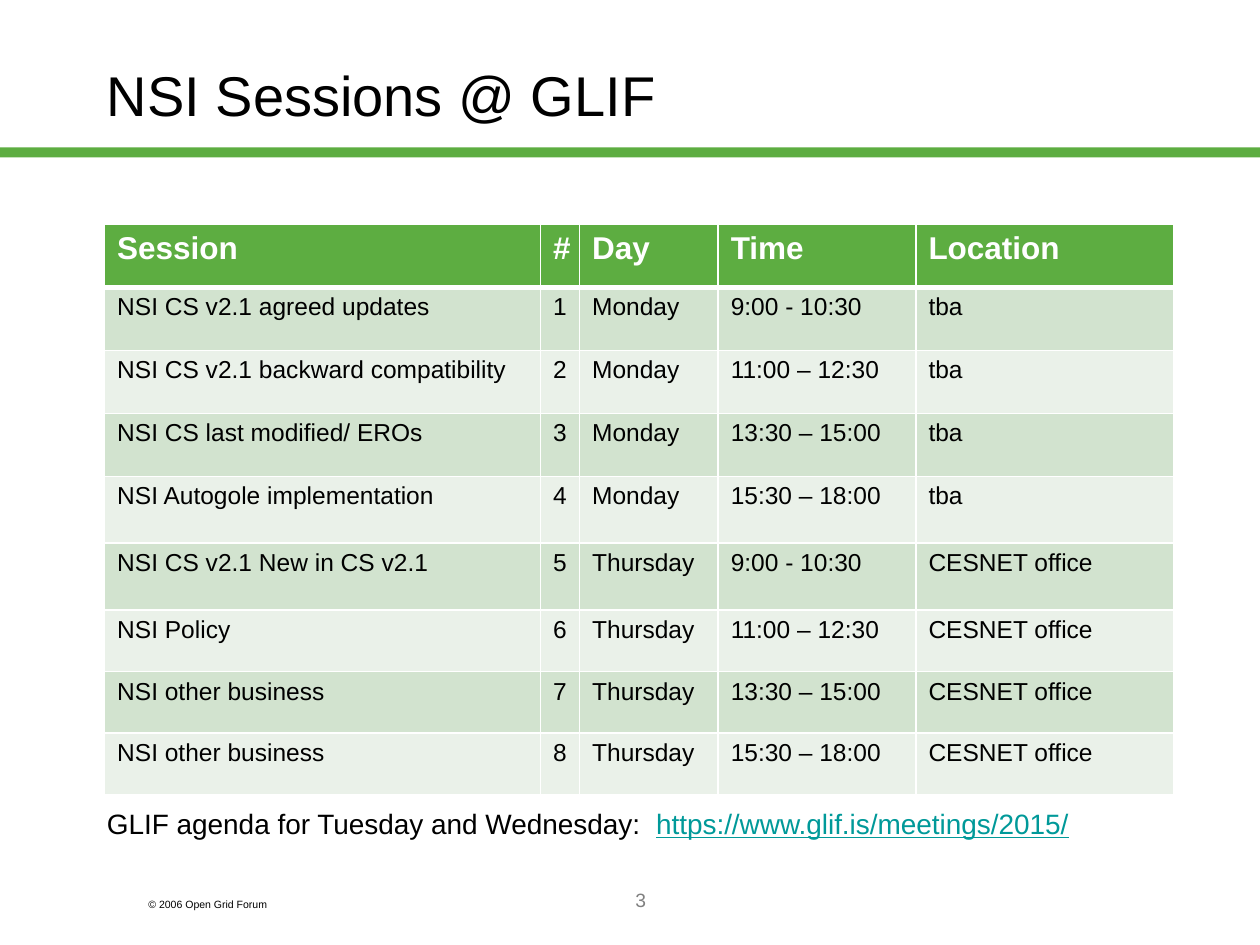
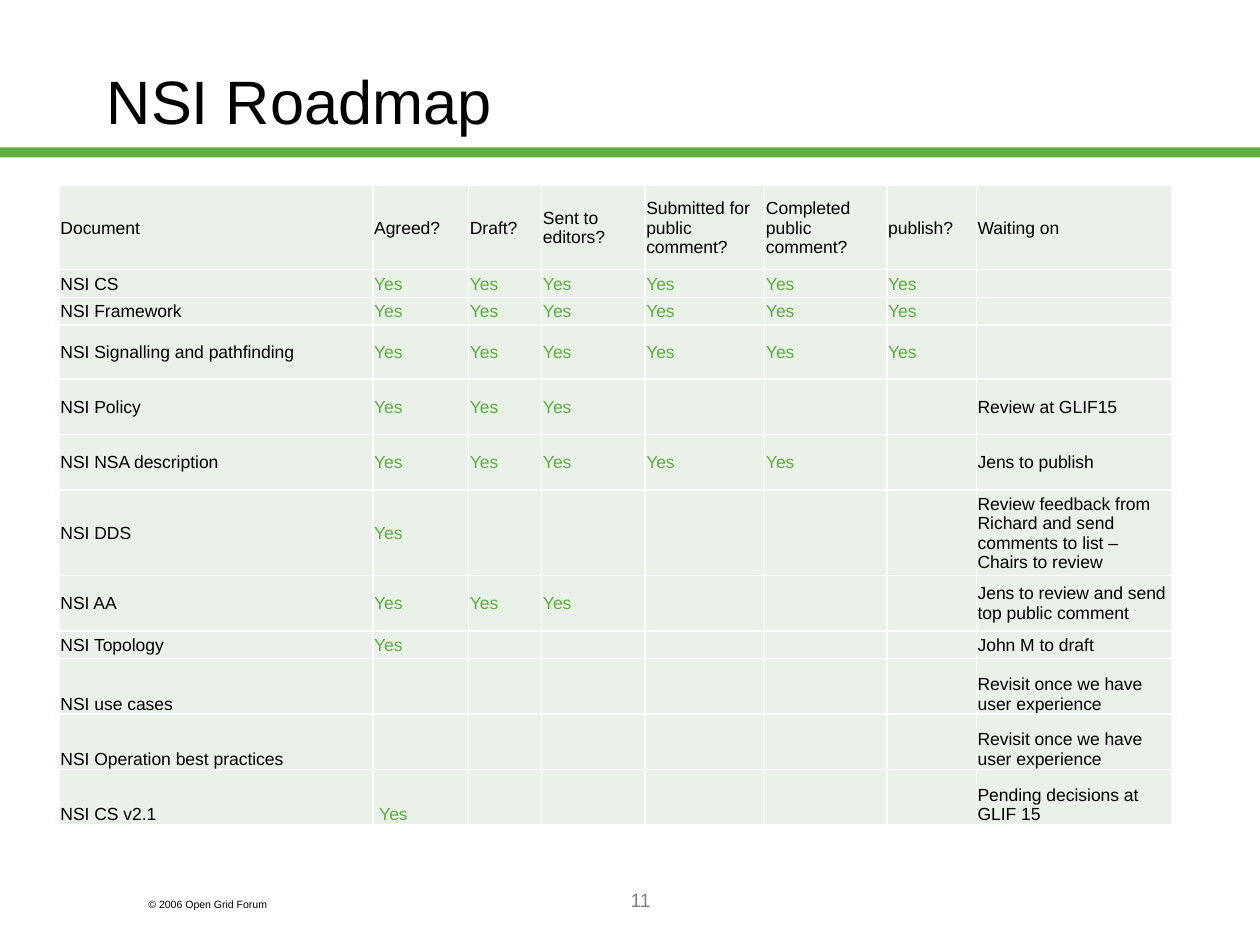
from lxml import etree
from pptx import Presentation
from pptx.dml.color import RGBColor
from pptx.enum.shapes import MSO_SHAPE
from pptx.enum.text import MSO_ANCHOR, PP_ALIGN
from pptx.oxml.ns import qn
from pptx.util import Inches, Pt

RECTANGLE = MSO_SHAPE.RECTANGLE
TOP, MIDDLE, BOTTOM = MSO_ANCHOR.TOP, MSO_ANCHOR.MIDDLE, MSO_ANCHOR.BOTTOM
LEFT, CENTER = PP_ALIGN.LEFT, PP_ALIGN.CENTER

FONT = "Arial"
COLORS = {
    "green": "5DAD41",
    "band": "D2E3CF",
    "pale": "EAF1E9",
    "link": "009999",
    "black": "000000",
    "gray": "808080",
    "white": "FFFFFF",
}

BAND_BOX = (0, 1.17, 10, 0.08)
TITLE_BOX = (0.75, 0.17, 8.5, 1.25)
COPYRIGHT_BOX = (1.08, 7.08, 1.5, 0.2)
NUMBER_BOX = (2.17, 7, 5.83, 0.5)

SESSION_COLUMNS = [3.46, 0.31, 1.1, 1.57, 2.05]
SESSION_ROWS = [0.5] * 4 + [0.53] * 2 + [0.49] * 3
SESSION_HEADER = ["Session", "#", "Day", "Time", "Location"]
SESSION_NAMES = [
    "NSI CS v2.1 agreed updates",
    "NSI CS v2.1 backward compatibility",
    "NSI CS last modified/ EROs",
    "NSI Autogole implementation",
    "NSI CS v2.1 New in CS v2.1",
    "NSI Policy",
    "NSI other business",
    "NSI other business",
]
DAYS = [("Monday", "tba"), ("Thursday", "CESNET office")]
TIMES = ["9:00 - 10:30", "11:00 – 12:30", "13:30 – 15:00", "15:30 – 18:00"]

ROADMAP_COLUMNS = [2.49, 0.76, 0.58, 0.82, 0.95, 0.97, 0.71, 1.55]
ROADMAP_ROWS = [0.67, 0.22, 0.22, 0.43, 0.44, 0.44, 0.67, 0.44, 0.22, 0.44, 0.44, 0.44]
ROADMAP_HEADER = [
    "Document", "Agreed?", "Draft?", "Sent to editors?",
    "Submitted for public comment?", "Completed public comment?",
    "publish?", "Waiting on",
]
STAGE_COUNT = 6
# document, number of stages passed, waiting on
DOCUMENTS = [
    ("NSI CS", 6, ""),
    ("NSI Framework", 6, ""),
    ("NSI Signalling and pathfinding", 6, ""),
    ("NSI Policy", 3, "Review at GLIF15"),
    ("NSI NSA description", 5, "Jens to publish"),
    ("NSI DDS", 1, "Review feedback from Richard and send comments to list – Chairs to review"),
    ("NSI AA", 3, "Jens to review and send top public comment"),
    ("NSI Topology", 1, "John M to draft"),
    ("NSI use cases", 0, "Revisit once we have user experience"),
    ("NSI Operation best practices", 0, "Revisit once we have user experience"),
    ("NSI CS v2.1", 1, "Pending decisions at GLIF 15"),
]
FIRST_BOTTOM_ROW = 9


def rgb(color):
    return RGBColor.from_string(COLORS[color])


def add_run(paragraph, text, size, color="black", **formats):
    run = paragraph.add_run()
    run.text = text
    for name, value in {"name": FONT, "size": Pt(size), **formats}.items():
        setattr(run.font, name, value)
    run.font.color.rgb = rgb(color)


def add_text(slide, box, runs, align=LEFT, anchor=TOP, spacing=1.0):
    """Add one paragraph; each run is (text, size, color, formats)."""
    frame = slide.shapes.add_textbox(*map(Inches, box)).text_frame
    frame.word_wrap = True
    frame.vertical_anchor = anchor
    paragraph = frame.paragraphs[0]
    paragraph.alignment = align
    paragraph.line_spacing = spacing
    for text, size, color, formats in runs:
        add_run(paragraph, text, size, color, **formats)


def add_frame(prs, title, title_size, number, title_spacing=1.0):
    """Add a slide with the green band, title and footer."""
    slide = prs.slides.add_slide(prs.slide_layouts[6])
    band = slide.shapes.add_shape(RECTANGLE, *map(Inches, BAND_BOX))
    band.shadow.inherit = False
    band.fill.solid()
    band.fill.fore_color.rgb = rgb("green")
    band.line.fill.background()
    add_text(slide, COPYRIGHT_BOX, [("© 2006 Open Grid Forum", 6, "black", {})])
    add_text(slide, TITLE_BOX, [(title, title_size, "black", {})],
             anchor=MIDDLE, spacing=title_spacing)
    add_text(slide, NUMBER_BOX, [(number, 11, "gray", {})], align=CENTER)
    return slide


def set_borders(cell, top=1, bottom=1):
    properties = cell._tc.get_or_add_tcPr()
    for side, width in {"L": 1, "R": 1, "T": top, "B": bottom}.items():
        line = etree.SubElement(properties, qn(f"a:ln{side}"), w=str(Pt(width)))
        fill = etree.SubElement(line, qn("a:solidFill"))
        etree.SubElement(fill, qn("a:srgbClr"), val=COLORS["white"])


def add_grid(slide, left, top, widths, heights):
    """Add an unstyled table with the given column widths and row heights."""
    table = slide.shapes.add_table(
        len(heights), len(widths), Inches(left), Inches(top),
        Inches(sum(widths)), Inches(sum(heights))).table
    table.first_row = table.horz_banding = False
    for column, width in zip(table.columns, widths):
        column.width = Inches(width)
    for row, height in zip(table.rows, heights):
        row.height = Inches(height)
    return table


def fill_cell(cell, text, size, color, fill, margins, anchor=TOP, borders=(1, 1), **formats):
    set_borders(cell, *borders)
    cell.fill.solid()
    cell.fill.fore_color.rgb = rgb(fill)
    cell.vertical_anchor = anchor
    for side, margin in zip(("left", "top", "right", "bottom"), margins):
        setattr(cell, f"margin_{side}", Inches(margin))
    paragraph = cell.text_frame.paragraphs[0]
    if text:
        add_run(paragraph, text, size, color, **formats)
    else:
        paragraph._p.get_or_add_endParaRPr().set("sz", str(size * 100))


def add_session_table(slide, left, top):
    sessions = [
        [name, str(i + 1), DAYS[i // 4][0], TIMES[i % 4], DAYS[i // 4][1]]
        for i, name in enumerate(SESSION_NAMES)
    ]
    table = add_grid(slide, left, top, SESSION_COLUMNS, SESSION_ROWS)
    for r, values in enumerate([SESSION_HEADER] + sessions):
        if r == 0:
            look = dict(size=18, color="white", fill="green", borders=(1, 3), bold=True)
        else:
            look = dict(size=14, color="black", fill="band" if r % 2 else "pale",
                        borders=(3 if r == 1 else 1, 1))
        for c, value in enumerate(values):
            fill_cell(table.cell(r, c), value, margins=(0.1, 0.05, 0.1, 0.05), **look)


def add_roadmap_table(slide, left, top):
    documents = [
        [name] + ["Yes"] * passed + [""] * (STAGE_COUNT - passed) + [waiting]
        for name, passed, waiting in DOCUMENTS
    ]
    table = add_grid(slide, left, top, ROADMAP_COLUMNS, ROADMAP_ROWS)
    for r, values in enumerate([ROADMAP_HEADER] + documents):
        anchor = BOTTOM if r >= FIRST_BOTTOM_ROW else MIDDLE
        for c, value in enumerate(values):
            is_stage = value == "Yes"
            indent = 0.05 if is_stage and anchor == BOTTOM else 0.01
            fill_cell(table.cell(r, c), value, 10, "green" if is_stage else "black",
                      "pale", (indent, 0.01, 0.01, 0), anchor)


def build_sessions(prs):
    slide = add_frame(prs, "NSI Sessions @ GLIF", 32, "3", title_spacing=0.8)
    add_session_table(slide, 0.83, 1.78)
    add_text(slide, (0.75, 6.35, 7.99, 0.37), [
        ("GLIF agenda for Tuesday and Wednesday:  ", 16, "black", {}),
        ("https://www.glif.is/meetings/2015/", 16, "link", {"underline": True}),
    ])


def build_roadmap(prs):
    slide = add_frame(prs, "NSI Roadmap", 35, "11")
    add_roadmap_table(slide, 0.47, 1.47)


def main():
    prs = Presentation()
    prs.slide_width, prs.slide_height = Inches(10), Inches(7.5)
    build_sessions(prs)
    build_roadmap(prs)
    prs.save("out.pptx")


if __name__ == "__main__":
    main()
